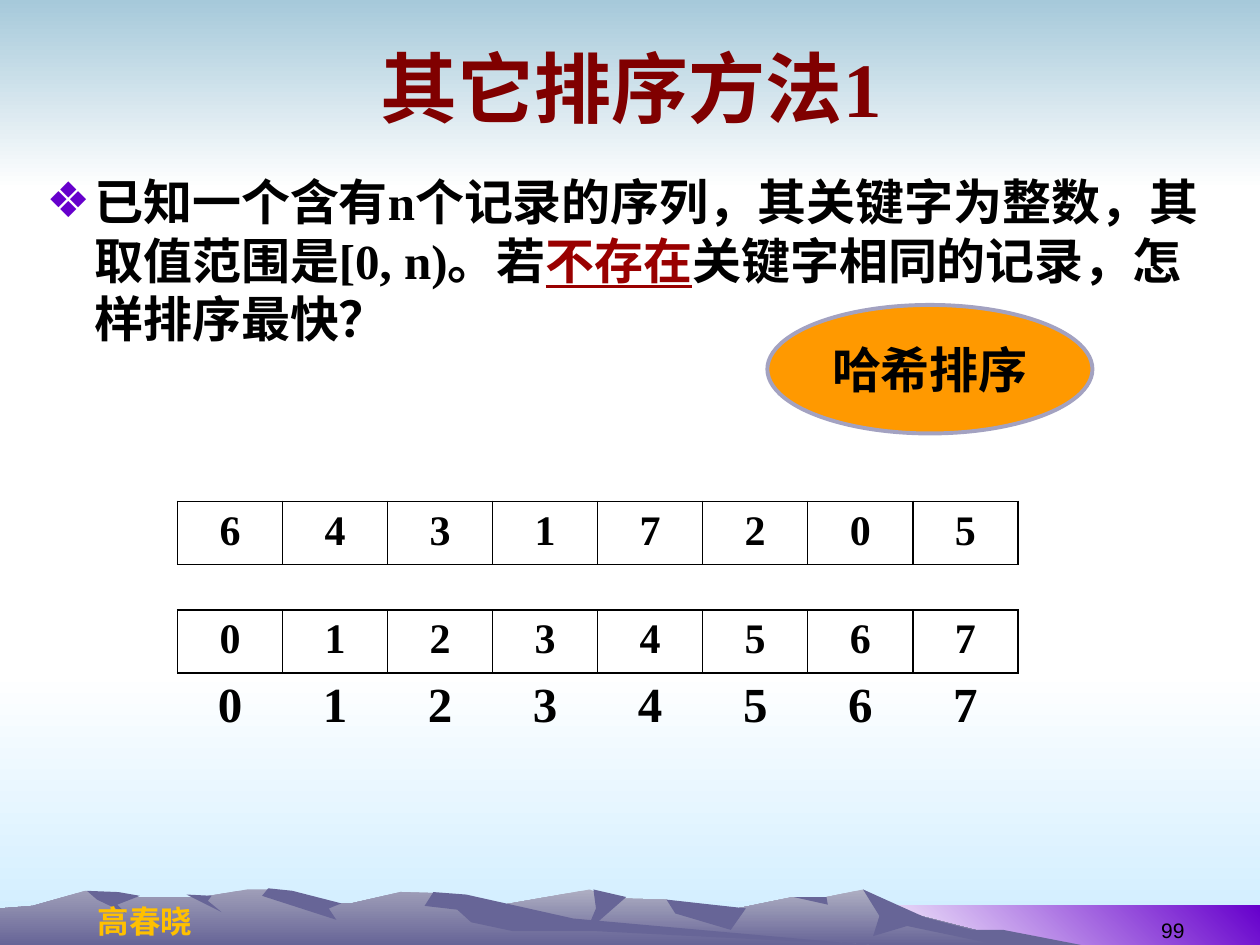
from dataclasses import dataclass

from lxml.etree import SubElement
from pptx import Presentation
from pptx.dml.color import RGBColor
from pptx.enum.shapes import MSO_SHAPE
from pptx.enum.text import MSO_ANCHOR, PP_ALIGN
from pptx.oxml.ns import qn
from pptx.util import Emu, Inches, Pt


@dataclass(frozen=True)
class Theme:
    white: str = "FFFFFF"
    black: str = "000000"
    title: str = "800000"
    accent: str = "990000"
    violet: str = "6600CC"
    sky: str = "A6C9DA"
    haze: str = "CCECFF"
    ridge: str = "676597"
    ridge_light: str = "AEAEC2"
    ridge_mid: str = "9F9EB8"
    author: str = "FFC000"
    orange: str = "FF9900"
    outline: str = "A3A2C1"
    serif: str = "Times New Roman"
    sans: str = "Arial"
    chinese: str = "Noto Sans CJK SC"
    title_size: int = 44
    body_size: int = 28
    cell_size: int = 24
    author_size: int = 18
    number_size: int = 12


THEME = Theme()
WIDTH, HEIGHT = 10, 7.5

TITLE = "其它排序方法1"
QUESTION = [
    ("已知一个含有n个记录的序列，其关键字为整数，其取值范围是[0, n)。若", THEME.black, False),
    ("不存在", THEME.accent, True),
    ("关键字相同的记录，怎样排序最快？", THEME.black, False),
]
ANSWER = "哈希排序"
AUTHOR = "高春晓"
PAGE_NUMBER = "99"
KEYS = "64317205"
SORTED_KEYS = INDICES = "01234567"

# left, top, width, height, first colour, last colour, angle
BANDS = [
    (0, 0.71 * HEIGHT, WIDTH, 0.29 * HEIGHT, THEME.white, THEME.haze, 270),
    (0, 0, WIDTH, 0.2 * HEIGHT, THEME.sky, THEME.white, 270),
    (6.83, 7.19, 3.17, 0.31, THEME.white, THEME.violet, 45),
]

# Mountain outlines in hundredths of an inch: lit colour (None for shade), points
MOUNTAINS = [
    (THEME.ridge_light, [
        (820, 750), (723, 725), (685, 706), (656, 712), (629, 712), (566, 725), (536, 721),
        (529, 714), (486, 713), (468, 706), (394, 719), (258, 750)]),
    (None, [
        (796, 738), (771, 738), (734, 728), (685, 706), (698, 727), (693, 743), (720, 735),
        (792, 750), (858, 750)]),
    (None, [(471, 706), (473, 721), (465, 740), (497, 712)]),
    (None, [(529, 714), (536, 725), (580, 738), (592, 721)]),
    (None, [(630, 712), (657, 718), (656, 712)]),
    (THEME.ridge_mid, [
        (690, 750), (432, 732), (354, 709), (318, 708), (279, 717), (236, 717), (215, 706),
        (196, 706), (160, 712), (94, 712), (68, 707), (26, 719), (0, 721), (0, 750)]),
    (None, [(213, 705), (208, 711), (267, 730), (261, 721), (271, 717), (232, 707)]),
    (None, [
        (344, 708), (337, 719), (363, 722), (374, 732), (407, 739), (472, 739), (690, 750),
        (455, 729), (370, 710)]),
    (None, [(168, 711), (165, 715), (176, 724), (148, 710)]),
    (None, [
        (111, 711), (93, 718), (100, 725), (77, 714), (69, 707), (94, 708)]),
]


def rgb(code):
    return RGBColor.from_string(code)


def paint_gradient(shape, first, last, angle):
    shape.fill.gradient()
    shape.fill.gradient_angle = angle
    for stop, color in zip(shape.fill.gradient_stops, (first, last)):
        stop.color.rgb = rgb(color)


def make_plain(shape):
    shape.shadow.inherit = False
    shape.line.fill.background()


def add_span(para, text, size, color=THEME.black, font=THEME.serif, bold=True, underline=False):
    span = para.add_run()
    span.text = text
    span.font.size = Pt(size)
    span.font.bold = bold
    span.font.underline = underline
    span.font.color.rgb = rgb(color)
    span.font.name = font
    SubElement(span.font._element, qn("a:ea"), typeface=THEME.chinese)


def add_box(page, area, align, anchor=MSO_ANCHOR.TOP, wrap=True):
    """Add a text box and return its first paragraph."""
    frame = page.shapes.add_textbox(*map(Inches, area)).text_frame
    frame.word_wrap = wrap
    frame.vertical_anchor = anchor
    frame.paragraphs[0].alignment = align
    return frame.paragraphs[0]


def add_bullet(para, char, color, indent):
    props = para._p.get_or_add_pPr()
    props.set("marL", str(Inches(indent)))
    props.set("indent", str(-Inches(indent)))
    tint = SubElement(props, qn("a:buClr"))
    SubElement(tint, qn("a:srgbClr"), val=color)
    SubElement(props, qn("a:buFont"), typeface=THEME.sans)
    SubElement(props, qn("a:buChar"), char=char)


def set_borders(cell, visible):
    """Draw the named sides (letters of LRTB) and hide the others."""
    props = cell._tc.get_or_add_tcPr()
    for side in "LRTB":
        line = SubElement(props, qn(f"a:ln{side}"), w=str(Pt(1)))
        if side in visible:
            fill = SubElement(line, qn("a:solidFill"))
            SubElement(fill, qn("a:srgbClr"), val=THEME.black)
        else:
            SubElement(line, qn("a:noFill"))


def add_array(page, top, rows):
    """Add a table from rows of (values, type size, height, visible sides)."""
    left, width = 1.41, 6.67
    height = sum(row[2] for row in rows)
    table = page.shapes.add_table(len(rows), len(KEYS), *map(Inches, (left, top, width, height))).table
    table.first_row = table.horz_banding = False
    for r, (values, size, row_height, sides) in enumerate(rows):
        table.rows[r].height = Inches(row_height)
        for c, value in enumerate(values):
            cell = table.cell(r, c)
            set_borders(cell, sides)
            cell.fill.background()
            para = cell.text_frame.paragraphs[0]
            para.alignment = PP_ALIGN.CENTER
            add_span(para, value, size)


def draw_background(page):
    for *area, first, last, angle in BANDS:
        band = page.shapes.add_shape(MSO_SHAPE.RECTANGLE, *map(Inches, area))
        make_plain(band)
        paint_gradient(band, first, last, angle)
    for light, (start, *others) in MOUNTAINS:
        builder = page.shapes.build_freeform(*start, scale=Inches(0.01))
        builder.add_line_segments(others, close=True)
        mountain = builder.convert_to_shape(Emu(0), Emu(0))
        make_plain(mountain)
        if light:
            paint_gradient(mountain, light, THEME.ridge, 270)
        else:
            mountain.fill.solid()
            mountain.fill.fore_color.rgb = rgb(THEME.ridge)


def main():
    deck = Presentation()
    deck.slide_width, deck.slide_height = Inches(WIDTH), Inches(HEIGHT)
    page = deck.slides.add_slide(deck.slide_layouts[6])
    draw_background(page)

    author = add_box(page, (0.67, 7.11, 0.96, 0.4), PP_ALIGN.CENTER, wrap=False)
    add_span(author, AUTHOR, THEME.author_size, THEME.author, THEME.chinese)
    title = add_box(page, (0.51, 0.13, 9, 1.12), PP_ALIGN.CENTER, MSO_ANCHOR.MIDDLE)
    add_span(title, TITLE, THEME.title_size, THEME.title)
    question = add_box(page, (0.27, 1.31, 9.45, 5.67), PP_ALIGN.LEFT)
    add_bullet(question, "❖", THEME.violet, 0.38)
    for text, color, underline in QUESTION:
        add_span(question, text, THEME.body_size, color, underline=underline)
    number = add_box(page, (7.17, 7.03, 2.33, 0.5), PP_ALIGN.RIGHT, MSO_ANCHOR.BOTTOM)
    add_span(number, PAGE_NUMBER, THEME.number_size, font=THEME.sans, bold=False)

    add_array(page, 4.84, [(SORTED_KEYS, THEME.cell_size, 0.47, "LRTB"),
                           (INDICES, THEME.body_size, 0.44, "T")])
    add_array(page, 3.98, [(KEYS, THEME.cell_size, 0.47, "LRTB")])

    answer = page.shapes.add_shape(MSO_SHAPE.OVAL, *map(Inches, (6.09, 2.42, 2.58, 1.02)))
    answer.shadow.inherit = False
    answer.fill.solid()
    answer.fill.fore_color.rgb = rgb(THEME.orange)
    answer.line.color.rgb = rgb(THEME.outline)
    answer.line.width = Pt(2.25)
    answer.text_frame.word_wrap = False
    answer.text_frame.vertical_anchor = MSO_ANCHOR.MIDDLE
    para = answer.text_frame.paragraphs[0]
    para.alignment = PP_ALIGN.CENTER
    add_span(para, ANSWER, THEME.body_size)

    deck.save("out.pptx")


if __name__ == "__main__":
    main()
